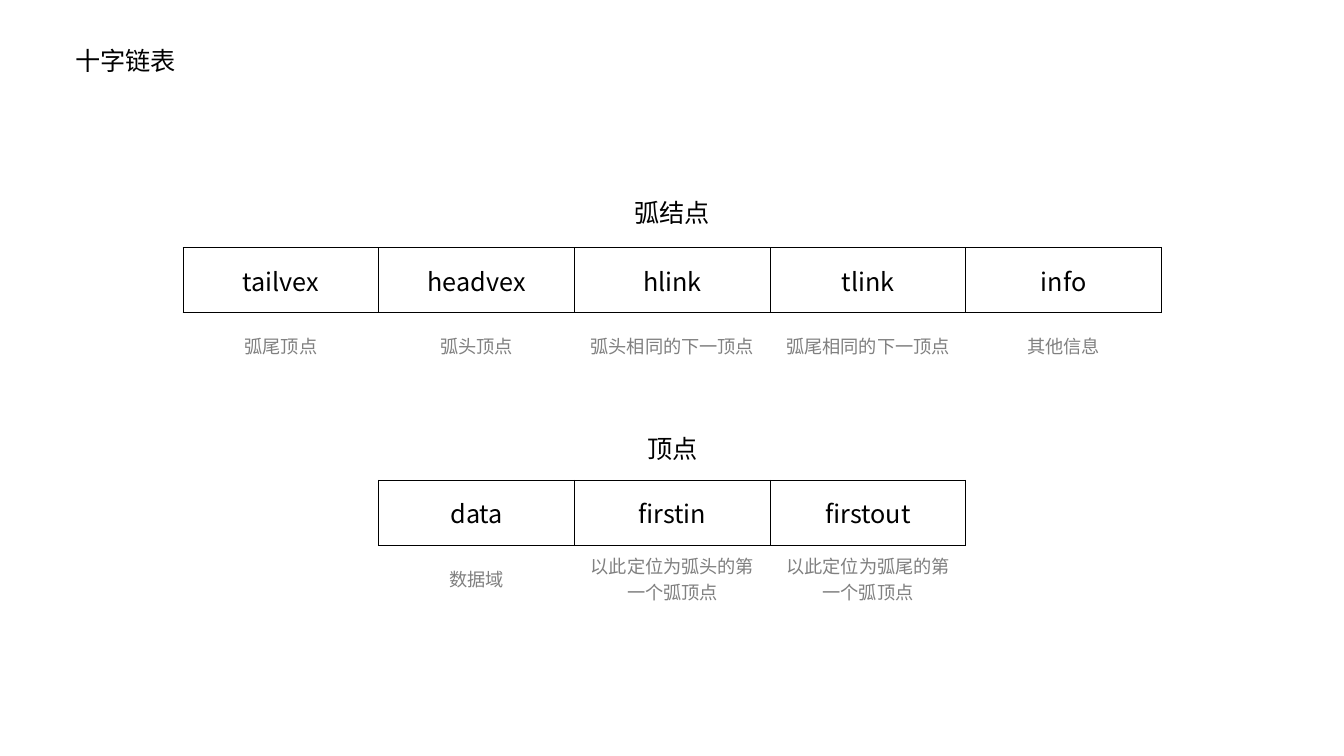
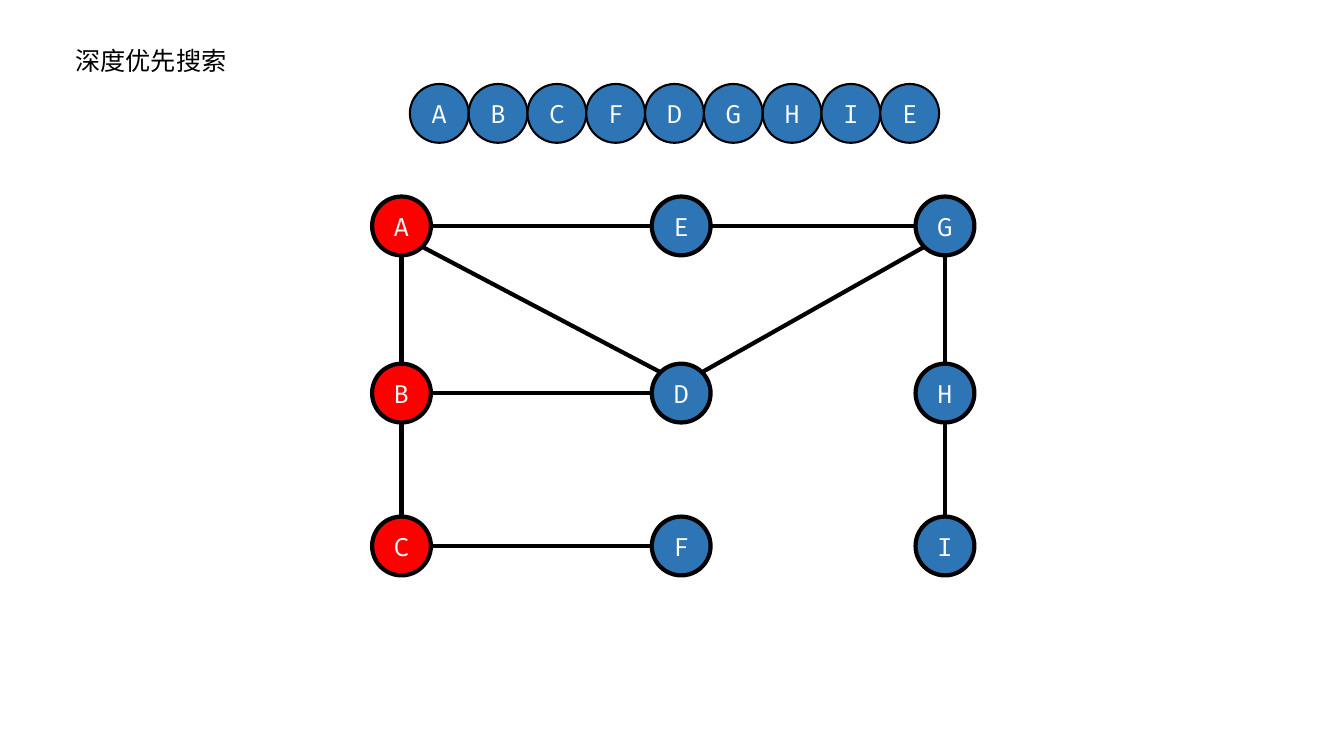
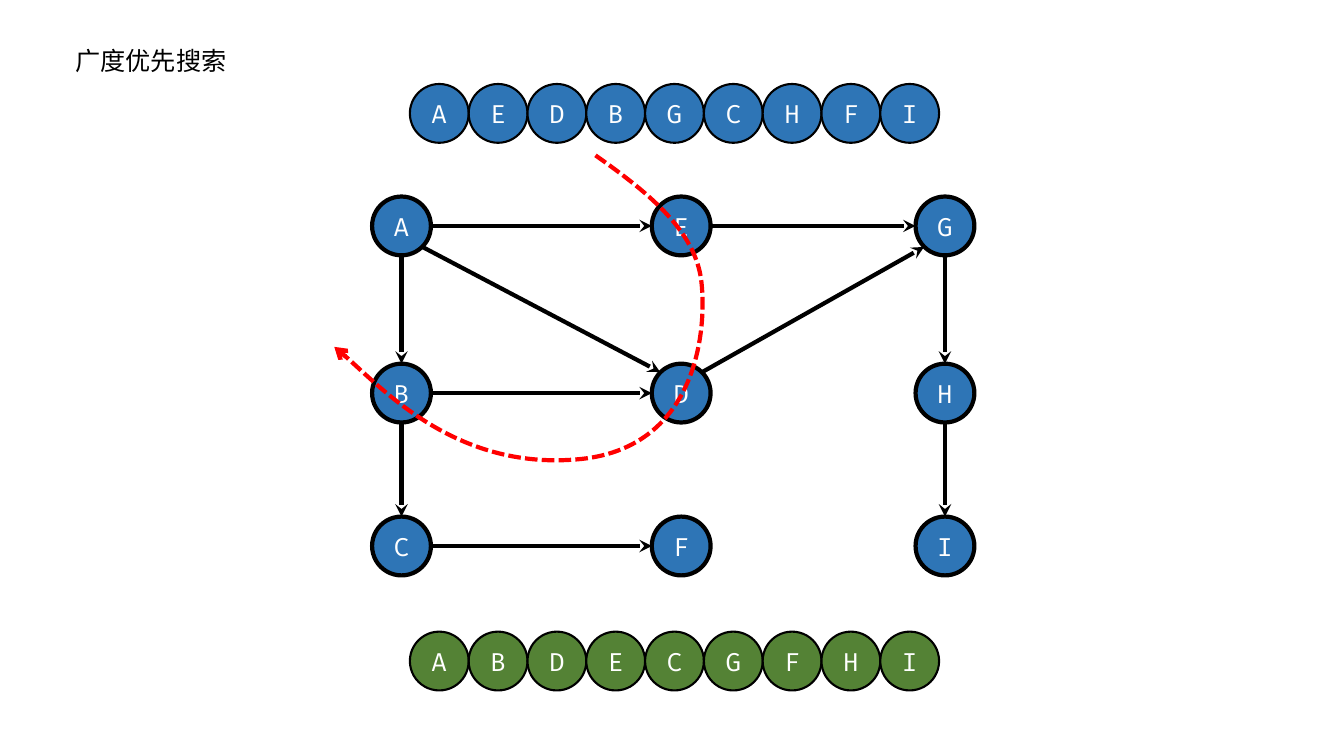
from lxml import etree
from pptx import Presentation
from pptx.dml.color import RGBColor
from pptx.enum.dml import MSO_LINE
from pptx.enum.shapes import MSO_CONNECTOR, MSO_SHAPE
from pptx.enum.text import MSO_ANCHOR, MSO_AUTO_SIZE, PP_ALIGN
from pptx.oxml.ns import qn
from pptx.util import Pt

PX = 7620
WIDE, HIGH = 1600, 900
OVAL = MSO_SHAPE.OVAL
LINE = MSO_CONNECTOR.STRAIGHT
DASH = MSO_LINE.SQUARE_DOT
MID = MSO_ANCHOR.MIDDLE
LEFT, CENTER = PP_ALIGN.LEFT, PP_ALIGN.CENTER
GROW = MSO_AUTO_SIZE.SHAPE_TO_FIT_TEXT

HUES = {
    "ink": "000000",
    "gray": "808080",
    "white": "FFFFFF",
    "blue": "2E75B6",
    "red": "FF0000",
    "green": "548235",
}
SANS, MONO = "Noto Sans CJK SC", "Fira Code"
SIZE, SMALL = 18, 13
COL, ROW = 233, 77
NODE = 70
SIDE, SLANT = 35, 25

SPOTS = {
    name: (x, y)
    for y, names in ((269, "AEG"), (468, "BDH"), (650, "CFI"))
    for x, name in zip((478, 811, 1125), names)
}
EDGES = ("AB", "AE", "BC", "BD", "GH", "HI", "CF", "EG", "AD", "DG")


def px(*nums):
    return [n * PX for n in nums]


def hue(name):
    return RGBColor.from_string(HUES[name])


def sign(num):
    return (num > 0) - (num < 0)


class Deck:
    def __init__(self):
        self.file = Presentation()
        self.file.slide_width, self.file.slide_height = px(WIDE, HIGH)
        self.slide = None

    def page(self, title):
        self.slide = self.file.slides.add_slide(self.file.slide_layouts[6])
        self.label(78, 48, title, LEFT)

    def words(self, frame, text, size, color, font, align):
        par = frame.paragraphs[0]
        par.text = text
        par.alignment = align
        par.font.size = Pt(size)
        par.font.color.rgb = hue(color)
        par.font.name = font
        props = par._p.pPr.find(qn("a:defRPr"))
        etree.SubElement(props, qn("a:ea"), typeface=font)

    def stroke(self, item, color, width, tail=None, dash=None):
        item.line.color.rgb = hue(color)
        item.line.width = Pt(width)
        if dash:
            item.line.dash_style = dash
        if tail:
            line = item._element.spPr.find(qn("a:ln"))
            etree.SubElement(line, qn("a:tailEnd"), type=tail)

    def label(self, x, y, text, align=CENTER):
        frame = self.slide.shapes.add_textbox(*px(x, y, 235, 48)).text_frame
        frame.word_wrap = True
        frame.auto_size = GROW
        self.words(frame, text, SIZE, "ink", SANS, align)

    def table(self, x, y, texts, size, color, boxed):
        count = len(texts)
        table = self.slide.shapes.add_table(
            1, count, *px(x, y, COL * count, ROW)).table
        table.first_row = table.horz_banding = False
        for cell, text in zip(table.rows[0].cells, texts):
            cell.vertical_anchor = MID
            self.words(cell.text_frame, text, size, color, SANS, CENTER)
            self.border(cell, boxed)
            cell.fill.background()

    def border(self, cell, boxed):
        props = cell._tc.get_or_add_tcPr()
        for side in "LRTB":
            line = etree.SubElement(props, qn("a:ln" + side), w=str(Pt(1)))
            if boxed:
                fill = etree.SubElement(line, qn("a:solidFill"))
                etree.SubElement(fill, qn("a:srgbClr"), val=HUES["ink"])
            else:
                etree.SubElement(line, qn("a:noFill"))

    def record(self, x, y, fields, notes):
        self.table(x, y, fields, SIZE, "ink", True)
        self.table(x, y + ROW + 1, notes, SMALL, "gray", False)

    def node(self, x, y, text, color, width):
        oval = self.slide.shapes.add_shape(OVAL, *px(x, y, NODE, NODE))
        oval.shadow.inherit = False
        oval.fill.solid()
        oval.fill.fore_color.rgb = hue(color)
        self.stroke(oval, "ink", width)
        frame = oval.text_frame
        frame.word_wrap = False
        frame.vertical_anchor = MID
        self.words(frame, text, SIZE, "white", MONO, CENTER)

    def chain(self, y, names, color):
        for i, name in enumerate(names):
            self.node(488 + i * NODE, y, name, color, 1.5)

    def edge(self, start, end, tail):
        (ax, ay), (bx, by) = SPOTS[start], SPOTS[end]
        dx, dy = sign(bx - ax), sign(by - ay)
        gap = SLANT if dx and dy else SIDE
        line = self.slide.shapes.add_connector(LINE, *px(
            ax + dx * gap, ay + dy * gap, bx - dx * gap, by - dy * gap))
        self.stroke(line, "ink", 3, tail)
        etree.SubElement(line._element.spPr, qn("a:effectLst"))

    def graph(self, marked="", tail=None):
        for start, end in EDGES:
            self.edge(start, end, tail)
        for name, (x, y) in SPOTS.items():
            color = "red" if name in marked else "blue"
            self.node(x - SIDE, y - SIDE, name, color, 3)

    def curve(self, start, bends):
        ends = [bend[-1] for bend in bends]
        form = self.slide.shapes.build_freeform(*start, scale=PX)
        form.add_line_segments(ends, close=False)
        shape = form.convert_to_shape()
        shape.shadow.inherit = False
        shape.fill.background()
        self.stroke(shape, "red", 3, "arrow", DASH)
        left, top = (min(axis) for axis in zip(start, *ends))
        route = shape._element.spPr.find(".//" + qn("a:path"))
        for step in route.findall(qn("a:lnTo")):
            route.remove(step)
        for bend in bends:
            cubic = etree.SubElement(route, qn("a:cubicBezTo"))
            for x, y in bend:
                etree.SubElement(
                    cubic, qn("a:pt"), x=str(x - left), y=str(y - top))


def main():
    deck = Deck()

    deck.page("十字链表")
    deck.label(683, 229, "弧结点")
    deck.record(
        218, 295,
        ("tailvex", "headvex", "hlink", "tlink", "info"),
        ("弧尾顶点", "弧头顶点", "弧头相同的下一顶点",
         "弧尾相同的下一顶点", "其他信息"))
    deck.label(683, 510, "顶点")
    deck.record(
        218 + COL, 572,
        ("data", "firstin", "firstout"),
        ("数据域", "以此定位为弧头的第一个弧顶点",
         "以此定位为弧尾的第一个弧顶点"))

    deck.page("深度优先搜索")
    deck.graph(marked="ABC")
    deck.chain(100, "ABCFDGHIE", "blue")

    deck.page("广度优先搜索")
    deck.graph(tail="stealth")
    deck.curve((709, 185), (
        ((770, 228), (828, 274), (835, 335)),
        ((842, 395), (829, 536), (686, 547)),
        ((542, 559), (436, 443), (398, 413))))
    deck.chain(100, "AEDBGCHFI", "blue")
    deck.chain(752, "ABDECGFHI", "green")

    deck.file.save("out.pptx")


if __name__ == "__main__":
    main()
